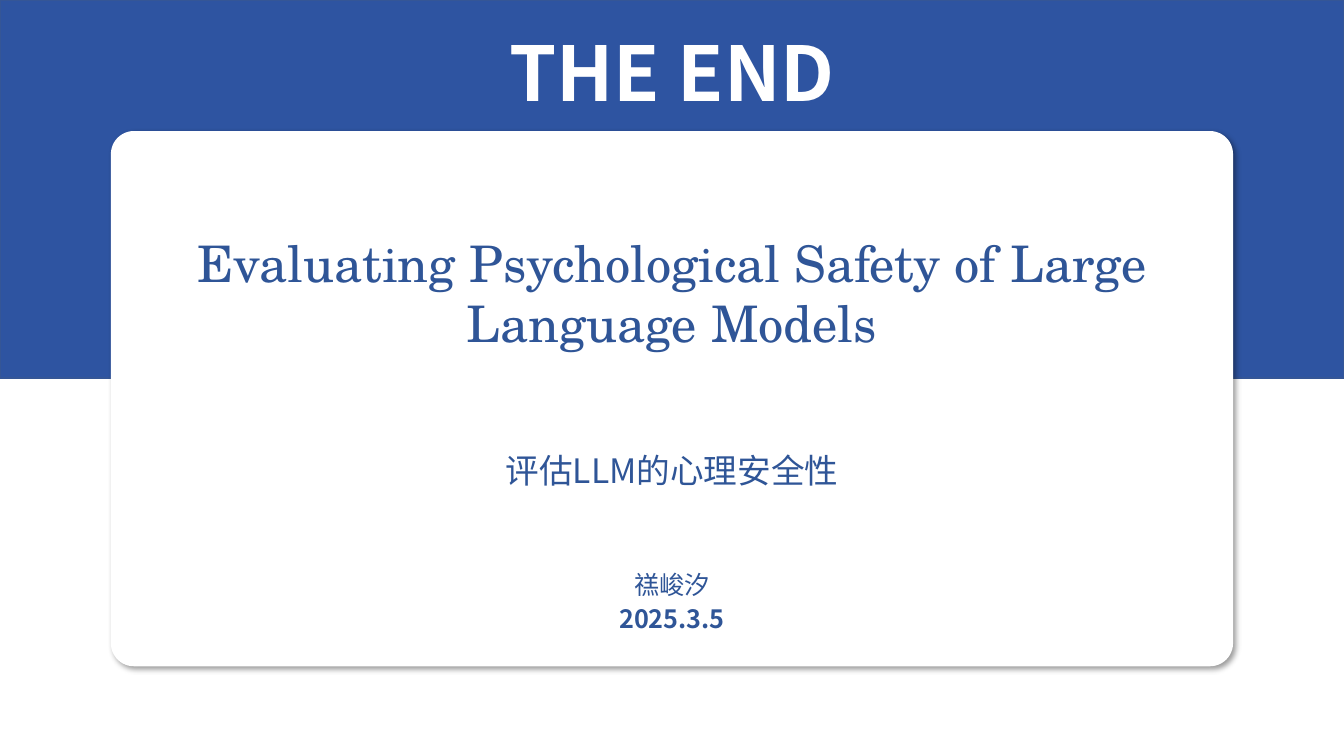
from lxml import etree
from pptx import Presentation
from pptx.dml.color import RGBColor
from pptx.enum.shapes import MSO_SHAPE
from pptx.enum.text import MSO_ANCHOR, MSO_AUTO_SIZE, PP_ALIGN
from pptx.oxml.ns import qn
from pptx.util import Inches, Pt

RECT, ROUNDED = MSO_SHAPE.RECTANGLE, MSO_SHAPE.ROUNDED_RECTANGLE
CENTER, MIDDLE, NO_FIT = PP_ALIGN.CENTER, MSO_ANCHOR.MIDDLE, MSO_AUTO_SIZE.NONE

WHITE = RGBColor(0xFF, 0xFF, 0xFF)
BAND_BLUE = RGBColor(0x2E, 0x54, 0xA1)
BAND_EDGE = RGBColor(0x35, 0x56, 0x96)
TEXT_BLUE = RGBColor(0x2F, 0x55, 0x97)
SANS, SERIF = "Noto Sans CJK SC", "TeX Gyre Schola"

# Content: (text, bold) per paragraph
CLOSING = [("THE END", True)]
PAPER = [("Evaluating Psychological Safety of Large Language Models", False)]
PAPER_CHINESE = [("评估LLM的心理安全性", False)]
SPEAKER = [("禚峻汐", False), ("2025.3.5", True)]

# Layout in inches; every part is centred across the slide
WIDTH, HEIGHT = 13.33, 7.5
CARD_WIDTH, CARD_TOP, CARD_HEIGHT = 11.13, 1.3, 5.31
# (paragraphs, top, width, height, size, font, line spacing)
CARD_TEXTS = [
    (PAPER, 2.25, 10.56, 1.31, 36, SERIF, 1),
    (PAPER_CHINESE, 4.35, 10.29, 0.56, 24, SANS, 1.15),
    (SPEAKER, 5.55, 10.08, 0.8, 18, SANS, 1.15),
]


def centred(top, width, height):
    return [Inches(v) for v in ((WIDTH - width) / 2, top, width, height)]


def add_panel(slide, preset, box, fill):
    panel = slide.shapes.add_shape(preset, *box)
    panel.shadow.inherit = False
    panel.fill.solid()
    panel.fill.fore_color.rgb = fill
    return panel


def write(frame, paragraphs, size, font, color, spacing):
    frame.word_wrap = True
    frame.auto_size = NO_FIT
    for number, (text, bold) in enumerate(paragraphs):
        paragraph = frame.add_paragraph() if number else frame.paragraphs[0]
        paragraph.alignment = CENTER
        paragraph.line_spacing = spacing
        run = paragraph.add_run()
        run.text = text
        run.font.size = Pt(size)
        run.font.bold = bold
        run.font.color.rgb = color
        run.font.name = font
        etree.SubElement(run.font._element, qn("a:ea"), typeface=font)


def cast_shadow(shape, blur, distance, angle, opacity):
    effects = shape._element.spPr.find(qn("a:effectLst"))
    shadow = etree.SubElement(
        effects, qn("a:outerShdw"), blurRad=str(Pt(blur)), dist=str(Pt(distance)),
        dir=str(angle * 60000), algn="tl", rotWithShape="0")
    color = etree.SubElement(shadow, qn("a:srgbClr"), val="000000")
    etree.SubElement(color, qn("a:alpha"), val=str(opacity * 1000))


presentation = Presentation()
presentation.slide_width, presentation.slide_height = Inches(WIDTH), Inches(HEIGHT)
slide = presentation.slides.add_slide(presentation.slide_layouts[5])

# Blue band over the top half
band = add_panel(slide, RECT, centred(0, WIDTH, HEIGHT / 2), BAND_BLUE)
band.line.color.rgb = BAND_EDGE
band.line.width = Pt(1)

# White card
card = add_panel(slide, ROUNDED, centred(CARD_TOP, CARD_WIDTH, CARD_HEIGHT), WHITE)
card.adjustments[0] = 0.043
card.line.fill.background()
cast_shadow(card, blur=4, distance=3, angle=45, opacity=40)

# Closing title, brought in front of the band
title = slide.shapes.title
title.left, title.top, title.width, title.height = centred(0.2, 7.89, 1.01)
title.text_frame.vertical_anchor = MIDDLE
write(title.text_frame, CLOSING, 54, SANS, WHITE, 1)
slide.shapes._spTree.append(title._element)

# Texts on the card
for paragraphs, top, width, height, size, font, spacing in CARD_TEXTS:
    text_box = slide.shapes.add_textbox(*centred(top, width, height))
    write(text_box.text_frame, paragraphs, size, font, TEXT_BLUE, spacing)

presentation.save("out.pptx")
